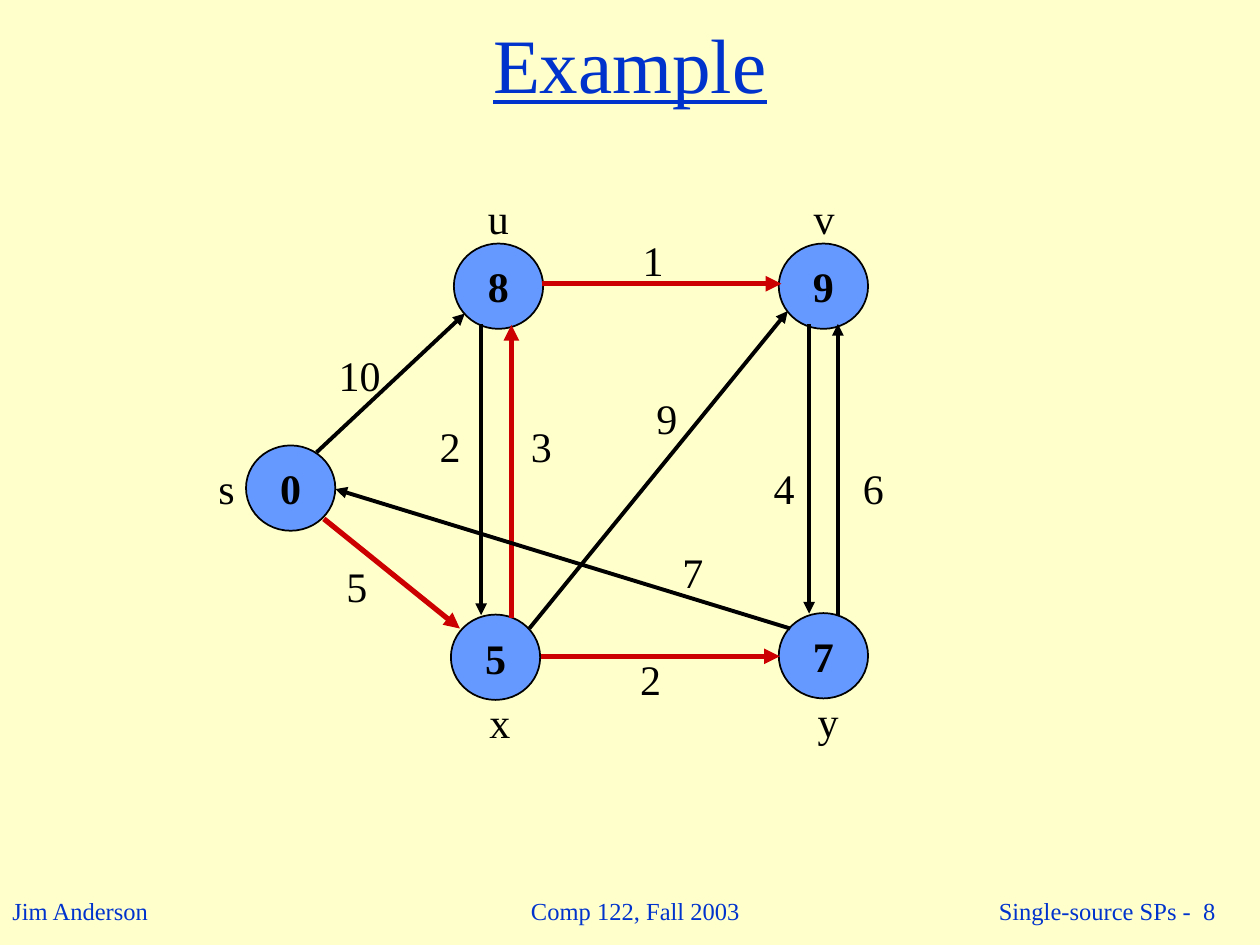
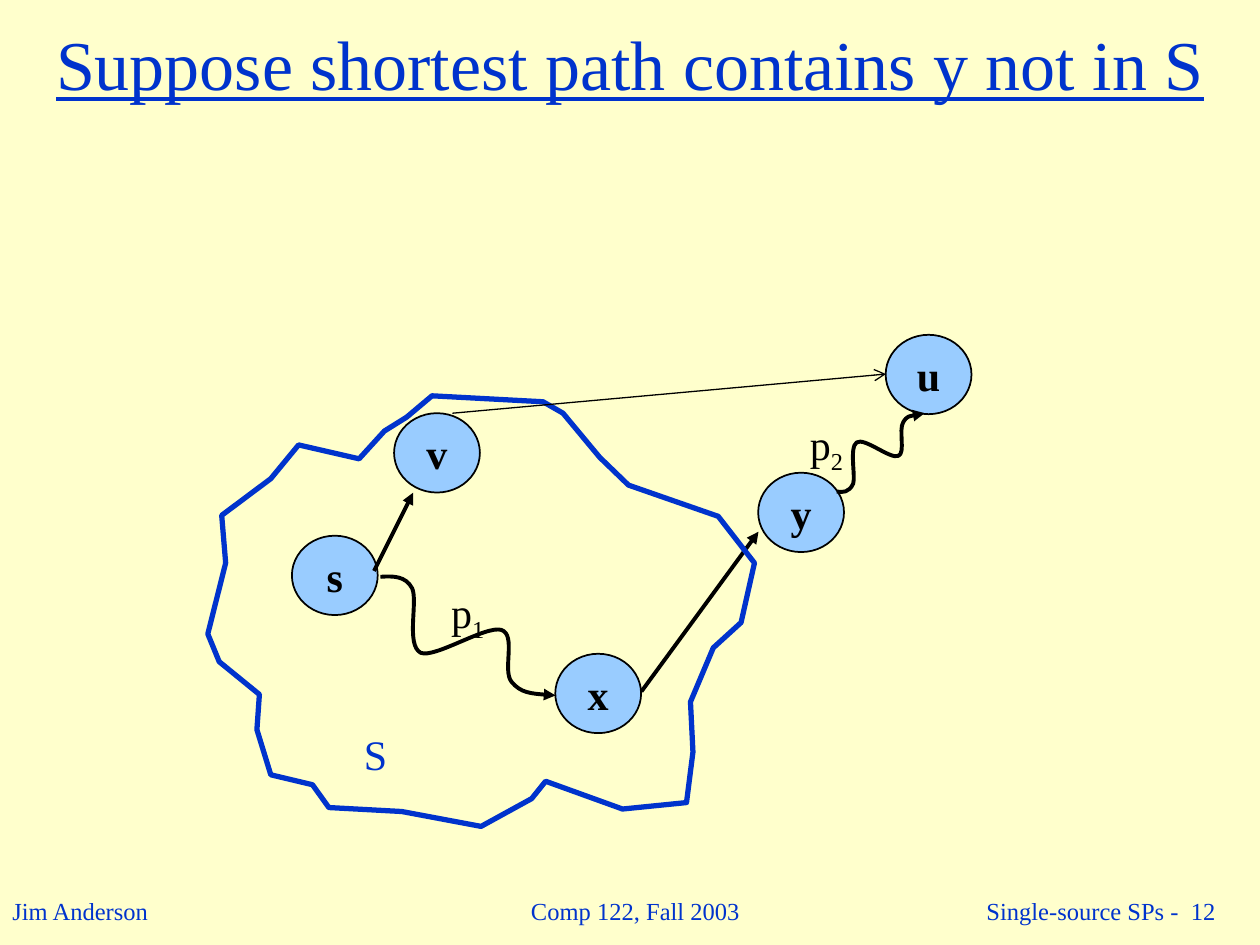
from collections import namedtuple

from lxml import etree
from pptx import Presentation
from pptx.dml.color import RGBColor
from pptx.enum.shapes import MSO_CONNECTOR, MSO_SHAPE
from pptx.enum.text import MSO_ANCHOR, MSO_AUTO_SIZE, PP_ALIGN
from pptx.oxml.ns import qn
from pptx.util import Cm, Pt

CREAM = RGBColor(0xFF, 0xFF, 0xCC)
BLUE = RGBColor(0x00, 0x33, 0xCC)
NODE_BLUE = RGBColor(0x66, 0x99, 0xFF)
NODE_PALE = RGBColor(0x99, 0xCC, 0xFF)
RED = RGBColor(0xCC, 0x00, 0x00)
BLACK = RGBColor(0x00, 0x00, 0x00)

FONT = "Times New Roman"
LEFT, CENTER, RIGHT = PP_ALIGN.LEFT, PP_ALIGN.CENTER, PP_ALIGN.RIGHT
TOP, MIDDLE = MSO_ANCHOR.TOP, MSO_ANCHOR.MIDDLE
FIXED_SIZE = MSO_AUTO_SIZE.NONE
OVAL, STRAIGHT = MSO_SHAPE.OVAL, MSO_CONNECTOR.STRAIGHT

PAGE_WIDTH, PAGE_HEIGHT = 25.4, 19.05
TITLE_ONLY = 5

# All lengths are in centimetres; drawing coordinates are relative to an Area.
Area = namedtuple("Area", "left top")
GRAPH_AREA = Area(4, 3.5)
PATH_AREA = Area(4, 6.5)


def write(box, text, size=24, color=BLACK, bold=False, underline=False,
          align=CENTER, anchor=MIDDLE, wrap=False, subscript=""):
    frame = box.text_frame
    frame.auto_size = FIXED_SIZE
    frame.word_wrap = wrap
    frame.vertical_anchor = anchor
    para = frame.paragraphs[0]
    para.alignment = align
    for part in filter(None, (text, subscript)):
        span = para.add_run()
        span.text = part
        font = span.font
        font.name, font.size = FONT, Pt(size)
        font.bold, font.underline = bold, underline
        font.color.rgb = color
    if subscript:
        span._r.get_or_add_rPr().set("baseline", "-25000")


def add_text(page, text, left, top, width, height, **style):
    box = page.shapes.add_textbox(Cm(left), Cm(top), Cm(width), Cm(height))
    write(box, text, **style)


def format_line(shape, color, weight, head=None):
    shape.line.color.rgb = color
    shape.line.width = Pt(weight)
    if head:
        tail = etree.SubElement(shape.line._get_or_add_ln(), qn("a:tailEnd"))
        tail.set("type", head)


# Parts of the drawings

def add_nodes(page, area, nodes, width, height, fill):
    for text, x, y in nodes:
        node = page.shapes.add_shape(
            OVAL, Cm(area.left + x - width / 2), Cm(area.top + y - height / 2),
            Cm(width), Cm(height))
        node.shadow.inherit = False
        node.fill.solid()
        node.fill.fore_color.rgb = fill
        format_line(node, BLACK, 1)
        write(node, text, bold=True)


def add_edge(page, area, start, end, color=BLACK, weight=2.25, head="triangle"):
    ends = [Cm(origin + value) for point in (start, end)
            for origin, value in zip(area, point)]
    edge = page.shapes.add_connector(STRAIGHT, *ends)
    format_line(edge, color, weight, head)
    etree.SubElement(edge._element.spPr, qn("a:effectLst"))


def add_label(page, area, text, x, y, subscript="", color=BLACK):
    """Centre a short label on a point."""
    width = 0.47 + 0.44 * len(text)
    height = 1.27
    if subscript:
        width, height = width + 0.26, 1.42
    add_text(page, text, area.left + x - width / 2, area.top + y - height / 2,
             width, height, align=LEFT, anchor=TOP, subscript=subscript,
             color=color)


def add_outline(page, area, points, color, weight, close=False, head=None):
    placed = [(Cm(area.left + x), Cm(area.top + y)) for x, y in points]
    builder = page.shapes.build_freeform(*placed[0])
    builder.add_line_segments(placed[1:], close=close)
    outline = builder.convert_to_shape()
    outline.shadow.inherit = False
    outline.fill.background()
    format_line(outline, color, weight, head)
    return outline


def add_curve(page, area, controls):
    """Draw a chain of cubic curves: a start, then three points for each."""
    curve = add_outline(page, area, controls, BLACK, 2.25, head="triangle")
    route = curve._element.find(".//" + qn("a:path"))
    segments = route.findall(qn("a:lnTo"))
    for first in range(0, len(segments), 3):
        cubic = etree.SubElement(route, qn("a:cubicBezTo"))
        for segment in segments[first:first + 3]:
            cubic.append(segment[0])
            route.remove(segment)


# Shared page: title and footers

def add_page(deck, title, title_size, number):
    page = deck.slides.add_slide(deck.slide_layouts[TITLE_ONLY])
    heading = page.shapes.title
    heading.left, heading.top = Cm(0), Cm(0)
    heading.width, heading.height = Cm(PAGE_WIDTH), Cm(2.54)
    write(heading, title, size=title_size, color=BLUE, underline=True, wrap=True)
    footers = (
        ("Jim Anderson", 0, 17.93, 3.28, 0.86, LEFT),
        ("Comp 122, Fall 2003", 10.17, 17.73, 5.28, 1.27, CENTER),
        (f"Single-source SPs -  {number}", 22.22, 17.83, 2.54, 1.07, RIGHT),
    )
    for *text_and_place, align in footers:
        add_text(page, *text_and_place, size=14, color=BLUE, align=align)
    return page


# Weighted graph with the shortest-path tree in red

def draw_graph(page, area):
    nodes = (("0", 1.86, 6.34), ("7", 12.6, 9.72), ("5", 5.99, 9.75),
             ("9", 12.6, 2.27), ("8", 6.05, 2.27))
    add_nodes(page, area, nodes, 1.8, 1.72, NODE_BLUE)

    edges = (
        ((2.38, 5.62), (5.37, 2.82), False),    # s to u
        ((2.53, 6.96), (5.27, 9.17), True),     # s to x
        ((5.7, 3.03), (5.7, 8.9), False),       # u to x
        ((6.31, 8.95), (6.31, 3.05), True),     # x to u
        ((12.31, 3.03), (12.31, 8.87), False),  # v to y
        ((12.89, 8.92), (12.89, 3.03), False),  # y to v
        ((6.9, 9.73), (11.72, 9.73), True),     # x to y
        ((6.92, 2.22), (11.75, 2.22), True),    # u to v
        ((6.67, 9.17), (11.88, 2.77), False),   # x to v
        ((11.93, 9.17), (2.76, 6.36), False),   # y to s
    )
    for start, end, in_tree in edges:
        color, weight = (RED, 3) if in_tree else (BLACK, 2.25)
        add_edge(page, area, start, end, color=color, weight=weight)

    node_names = (("s", 0.61, 6.33), ("u", 6.04, 0.89), ("v", 12.61, 0.89),
                  ("x", 6.07, 11.06), ("y", 12.69, 11.03))
    weights = (("10", 3.25, 4.05), ("1", 9.16, 1.73), ("9", 9.44, 4.93),
               ("2", 9.11, 10.19), ("4", 11.8, 6.33), ("6", 13.6, 6.33),
               ("5", 3.19, 8.31), ("2", 5.07, 5.49), ("3", 6.91, 5.49),
               ("7", 9.96, 8.02))
    for text, x, y in node_names + weights:
        add_label(page, area, text, x, y)


# Set S with a path that leaves it

def draw_path_through_set(page, area):
    set_border = (
        (3.75, 2.19), (3.24, 2.75), (2.02, 2.47), (1.46, 3.15), (0.47, 3.89),
        (0.55, 4.85), (0.19, 6.28), (0.42, 6.84), (1.23, 7.5), (1.18, 8.21),
        (1.46, 9.12), (2.3, 9.32), (2.63, 9.78), (4.1, 9.86), (5.7, 10.16),
        (6.72, 9.6), (7, 9.25), (8.55, 9.81), (9.84, 9.68), (9.97, 8.66),
        (9.92, 7.65), (10.38, 6.56), (10.94, 6.05), (11.21, 4.85),
        (10.48, 3.91), (8.67, 3.28), (8.09, 2.72), (7.35, 1.83), (6.95, 1.6),
        (4.71, 1.48), (4.2, 1.91))
    path_s_to_x = (
        (3.67, 5.13), (3.92, 5.11), (4.18, 5.11), (4.31, 5.36),
        (4.43, 5.62), (4.18, 6.5), (4.48, 6.66),
        (4.76, 6.78), (5.8, 6.1), (6.11, 6.2),
        (6.41, 6.3), (6.13, 7.01), (6.31, 7.24),
        (6.49, 7.47), (6.85, 7.5), (7.2, 7.52))
    path_y_to_u = (
        (12.87, 3.41), (12.99, 3.43), (13.12, 3.43), (13.2, 3.25),
        (13.25, 3.1), (13.12, 2.52), (13.27, 2.42),
        (13.42, 2.31), (13.96, 2.77), (14.11, 2.69),
        (14.26, 2.64), (14.11, 2.16), (14.21, 2.01),
        (14.29, 1.88), (14.47, 1.86), (14.64, 1.83))
    nodes = (("x", 8.06, 7.48), ("s", 2.75, 5.1), ("y", 12.15, 3.83),
             ("u", 14.72, 1.05), ("v", 4.81, 2.63))

    add_nodes(page, area, nodes[:-1], 1.73, 1.6, NODE_PALE)
    add_edge(page, area, (8.93, 7.44), (11.29, 4.22))   # x to y
    add_curve(page, area, path_s_to_x)
    add_outline(page, area, set_border, BLUE, 3, close=True)
    add_label(page, area, "S", 3.54, 8.69, color=BLUE)
    add_label(page, area, "p", 5.43, 5.9, subscript="1")
    add_label(page, area, "p", 12.66, 2.52, subscript="2")
    add_edge(page, area, (3.54, 5.01), (4.33, 3.43))    # s to v
    add_nodes(page, area, nodes[-1:], 1.73, 1.6, NODE_PALE)
    add_edge(page, area, (5.12, 1.83), (13.86, 1.04),   # v to u
             weight=0.75, head="arrow")
    add_curve(page, area, path_y_to_u)


def main():
    deck = Presentation()
    deck.slide_width, deck.slide_height = Cm(PAGE_WIDTH), Cm(PAGE_HEIGHT)
    background = deck.slide_master.background.fill
    background.solid()
    background.fore_color.rgb = CREAM

    draw_graph(add_page(deck, "Example", 44, 8), GRAPH_AREA)
    draw_path_through_set(
        add_page(deck, "Suppose shortest path contains y not in S", 40, 12),
        PATH_AREA)
    deck.save("out.pptx")


if __name__ == "__main__":
    main()
